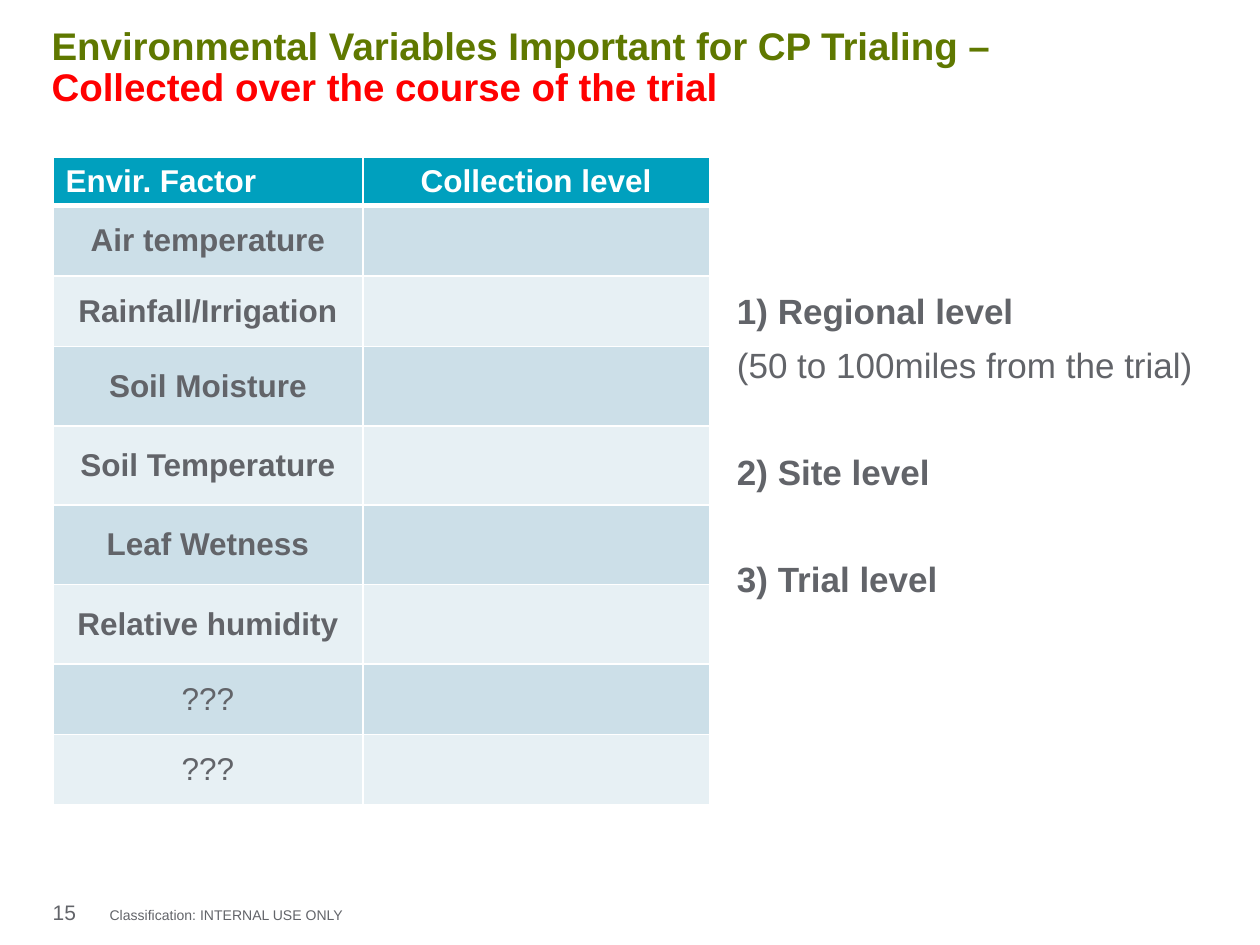
from lxml import etree
from pptx import Presentation
from pptx.dml.color import RGBColor
from pptx.enum import text as t
from pptx.oxml import ns
from pptx.util import Inches, Pt

OLIVE = RGBColor(0x5F, 0x78, 0x00)
RED = RGBColor(0xFF, 0x00, 0x00)
GREY = RGBColor(0x62, 0x64, 0x69)
WHITE = RGBColor(0xFF, 0xFF, 0xFF)
TEAL = RGBColor(0x00, 0xA0, 0xBE)
BANDS = RGBColor(0xCC, 0xDF, 0xE8), RGBColor(0xE7, 0xF0, 0xF4)
LEFT, MID = t.PP_ALIGN.LEFT, t.PP_ALIGN.CENTER

TITLE = [
    ("Environmental Variables Important for CP Trialing –", OLIVE),
    ("Collected over the course of the trial", RED),
]
HEADS = [("Envir. Factor", LEFT), ("Collection level", MID)]
FACTORS = [
    ("Air temperature", 0.56),
    ("Rainfall/Irrigation", 0.56),
    ("Soil Moisture", 0.63),
    ("Soil Temperature", 0.63),
    ("Leaf Wetness", 0.63),
    ("Relative humidity", 0.63),
    ("???", 0.56),
    ("???", 0.56),
]
COLS = 2.46, 2.75
HEAD_H = 0.34
LEVELS = [
    ("1) Regional level", True, 0),
    ("(50 to 100miles from the trial)", False, 0),
    ("2) Site level", True, 30),
    ("3) Trial level", True, 30),
]


def put(para, words, size=18, color=GREY, bold=False, align=LEFT):
    para.alignment = align
    run = para.add_run()
    run.text = words
    font = run.font
    font.name, font.size, font.bold = "Arial", Pt(size), bold
    font.color.rgb = color


def add_box(slide, *place):
    frame = slide.shapes.add_textbox(*map(Inches, place)).text_frame
    frame.word_wrap = True
    return frame


def paint(cell, color, base=1):
    props = cell._tc.get_or_add_tcPr()
    for side in "LRTB":
        width = Pt(base if side == "B" else 1)
        line = etree.SubElement(props, ns.qn(f"a:ln{side}"), w=str(width))
        fill = etree.SubElement(line, ns.qn("a:solidFill"))
        etree.SubElement(fill, ns.qn("a:srgbClr"), val=str(WHITE))
    cell.fill.solid()
    cell.fill.fore_color.rgb = color


def add_title(slide):
    title = slide.shapes.title
    title.left, title.top, title.width, title.height = map(
        Inches, (0.41, 0.1, 9.24, 0.89))
    frame = title.text_frame
    frame.margin_left = frame.margin_right = 0
    frame.margin_top = frame.margin_bottom = 0
    frame.vertical_anchor = t.MSO_ANCHOR.MIDDLE
    para = frame.paragraphs[0]
    para.line_spacing = 0.9
    for i, (words, color) in enumerate(TITLE):
        if i:
            para.add_line_break()
        put(para, words, size=22, color=color, bold=True)


def add_grid(slide):
    highs = [HEAD_H] + [high for _, high in FACTORS]
    grid = slide.shapes.add_table(
        len(highs), len(COLS), Inches(0.42), Inches(1.25),
        Inches(sum(COLS)), Inches(sum(highs))).table
    for col, wide in zip(grid.columns, COLS):
        col.width = Inches(wide)
    for row, high in zip(grid.rows, highs):
        row.height = Inches(high)
    for c, (words, align) in enumerate(HEADS):
        cell = grid.cell(0, c)
        paint(cell, TEAL, base=3)
        cell.vertical_anchor = t.MSO_ANCHOR.BOTTOM
        put(cell.text_frame.paragraphs[0], words, color=WHITE, bold=True,
            align=align)
    for r, (words, _) in enumerate(FACTORS):
        for c in range(len(COLS)):
            paint(grid.cell(r + 1, c), BANDS[r % 2])
        cell = grid.cell(r + 1, 0)
        cell.vertical_anchor = t.MSO_ANCHOR.MIDDLE
        put(cell.text_frame.paragraphs[0], words, bold=words != "???",
            align=MID)


def add_levels(slide):
    frame = add_box(slide, 5.75, 2.25, 4.08, 2.54)
    for i, (words, bold, gap) in enumerate(LEVELS):
        para = frame.add_paragraph() if i else frame.paragraphs[0]
        para.space_after = Pt(7)
        if gap:
            para.space_before = Pt(gap)
        put(para, words, size=20, bold=bold)


def add_footer(slide):
    put(add_box(slide, 0.32, 7.09, 0.61, 0.41).paragraphs[0], "15", size=12)
    frame = add_box(slide, 0.87, 7.06, 6.29, 0.41)
    frame.margin_left = 0
    frame.vertical_anchor = t.MSO_ANCHOR.MIDDLE
    put(frame.paragraphs[0], "Classification: INTERNAL USE ONLY", size=8)


def main():
    deck = Presentation()
    deck.slide_width, deck.slide_height = Inches(10), Inches(7.5)
    slide = deck.slides.add_slide(deck.slide_layouts[5])
    add_title(slide)
    add_grid(slide)
    add_levels(slide)
    add_footer(slide)
    deck.save("out.pptx")


if __name__ == "__main__":
    main()
